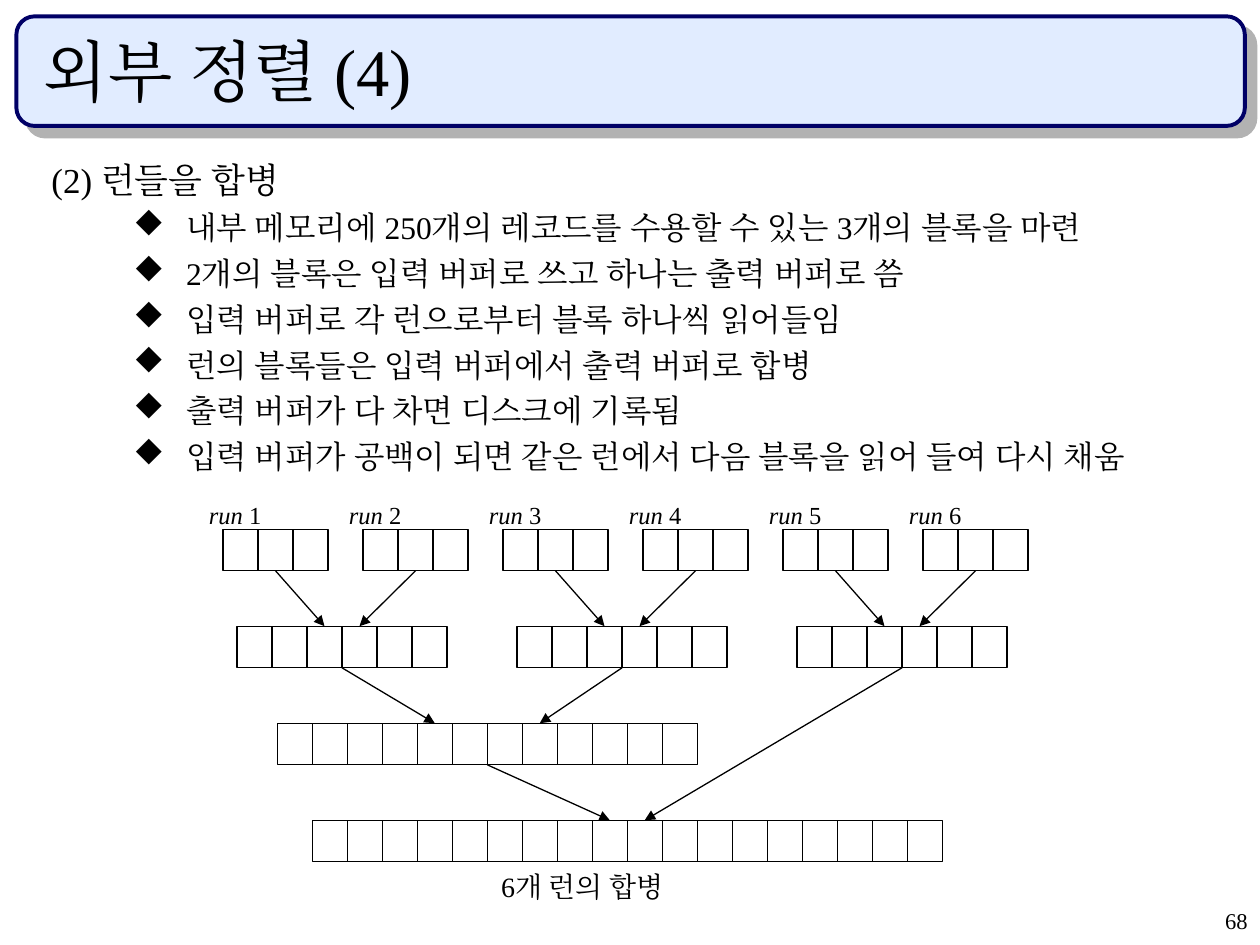
from lxml import etree
from pptx import Presentation
from pptx.dml.color import RGBColor
from pptx.enum.shapes import MSO_CONNECTOR, MSO_SHAPE
from pptx.enum.text import MSO_ANCHOR, PP_ALIGN
from pptx.oxml.ns import qn
from pptx.util import Inches, Pt

LEFT, RIGHT = PP_ALIGN.LEFT, PP_ALIGN.RIGHT
TOP, BOTTOM = MSO_ANCHOR.TOP, MSO_ANCHOR.BOTTOM
STRAIGHT = MSO_CONNECTOR.STRAIGHT
BLACK = RGBColor(0x00, 0x00, 0x00)
NAVY = RGBColor(0x00, 0x00, 0x66)
PALE_BLUE = RGBColor(0xE1, 0xEC, 0xFF)
SHADOW_GREY = RGBColor(0xB2, 0xB2, 0xB2)
FONT = "Times New Roman"
BULLET_FONT, DIAMOND = "Wingdings", "u"  # "u" is the diamond in this symbol font

# Content
TITLE = "외부 정렬 (4)"
HEADING = "(2) 런들을 합병"
STEPS = [
    "내부 메모리에 250개의 레코드를 수용할 수 있는 3개의 블록을 마련",
    "2개의 블록은 입력 버퍼로 쓰고 하나는 출력 버퍼로 씀",
    "입력 버퍼로 각 런으로부터 블록 하나씩 읽어들임",
    "런의 블록들은 입력 버퍼에서 출력 버퍼로 합병",
    "출력 버퍼가 다 차면 디스크에 기록됨",
    "입력 버퍼가 공백이 되면 같은 런에서 다음 블록을 읽어 들여 다시 채움",
]
CAPTION = "6개 런의 합병"
PAGE_NUMBER = "68"

# Merge levels: (first column, columns between run starts, runs, blocks per run)
LEVELS = [(0, 4, 6, 3), (0.4, 8, 3, 6), (1.55, 0, 1, 12), (2.55, 0, 1, 18)]
# Merges: (level, run) -> (level, run, block receiving the arrow)
MERGES = [((0, run), (1, run // 2, 2 + run % 2)) for run in range(6)] + [
    ((1, 0), (2, 0, 4)),
    ((1, 1), (2, 0, 7)),
    ((2, 0), (3, 0, 8)),
    ((1, 2), (3, 0, 9)),
]

# Diagram grid, in inches
GRID_LEFT, GRID_TOP = 1.77, 4.2
COLUMN, ROW = 5 / 18, 0.77
BLOCK_HEIGHT = 0.33

prs = Presentation()
prs.slide_width, prs.slide_height = Inches(10), Inches(7.5)
slide = prs.slides.add_slide(prs.slide_layouts[6])
shapes = slide.shapes


def add_text(x, y, w, h, text, size, align=LEFT, anchor=TOP):
    frame = shapes.add_textbox(Inches(x), Inches(y), Inches(w), Inches(h)).text_frame
    frame.word_wrap = True
    frame.vertical_anchor = anchor
    paragraph = frame.paragraphs[0]
    paragraph.text = text
    paragraph.alignment = align
    style(paragraph, size)
    return frame


def style(paragraph, size):
    font = paragraph.font
    font.name = FONT
    font.size = Pt(size)
    font.color.rgb = BLACK
    etree.SubElement(font._rPr, qn("a:ea"), typeface=FONT)


def indent(paragraph, margin, first_line):
    properties = paragraph._p.get_or_add_pPr()
    properties.set("marL", str(Inches(margin)))
    properties.set("indent", str(Inches(first_line)))
    return properties


def add_block(x, y):
    block = shapes.add_shape(MSO_SHAPE.RECTANGLE, Inches(x), Inches(y),
                             Inches(COLUMN), Inches(BLOCK_HEIGHT))
    block.shadow.inherit = False
    block.fill.background()
    block.line.color.rgb = BLACK
    block.line.width = Pt(0.75)
    return block


def add_arrow(start_x, start_y, target):
    arrow = shapes.add_connector(STRAIGHT, start_x, start_y, target.left, target.top)
    arrow.end_connect(target, 0)
    arrow.line.color.rgb = BLACK
    arrow.line.width = Pt(0.75)
    etree.SubElement(arrow.line._get_or_add_ln(), qn("a:tailEnd"), type="triangle")
    etree.SubElement(arrow._element.spPr, qn("a:effectLst"))
    return arrow


# Title banner with its offset shadow
banner = shapes.add_shape(MSO_SHAPE.ROUNDED_RECTANGLE, Inches(0.13), Inches(0.13),
                          Inches(9.75), Inches(0.87))
banner.shadow.inherit = False
banner.fill.solid()
banner.fill.fore_color.rgb = PALE_BLUE
banner.line.color.rgb = NAVY
banner.line.width = Pt(2.25)
shadow = etree.SubElement(banner._element.spPr.find(qn("a:effectLst")), qn("a:outerShdw"),
                          dist=str(Pt(8.5)), dir=str(45 * 60000), algn="ctr", rotWithShape="0")
etree.SubElement(shadow, qn("a:srgbClr"), val=str(SHADOW_GREY))
add_text(0.25, 0.25, 9.42, 0.67, TITLE, 38, anchor=BOTTOM)

# Heading and steps
body = add_text(-0.04, 1.21, 10.04, 2.7, HEADING, 20)
indent(body.paragraphs[0], 0.35, 0)
for step in STEPS:
    paragraph = body.add_paragraph()
    paragraph.text = step
    paragraph.space_before = Pt(4.5)
    properties = indent(paragraph, 1.42, -0.42)
    etree.SubElement(properties, qn("a:buFont"), typeface=BULLET_FONT,
                     pitchFamily="2", charset="2")
    etree.SubElement(properties, qn("a:buChar"), char=DIAMOND)
    style(paragraph, 18)

# Blocks of every run, level by level
runs = {}
for level, (first, pitch, run_count, block_count) in enumerate(LEVELS):
    for run in range(run_count):
        left = GRID_LEFT + (first + run * pitch) * COLUMN
        runs[level, run] = [add_block(left + i * COLUMN, GRID_TOP + level * ROW)
                            for i in range(block_count)]

# Run labels
for run in range(LEVELS[0][2]):
    x = GRID_LEFT - 0.21 + run * LEVELS[0][1] * COLUMN
    label = add_text(x, GRID_TOP - 0.28, 1.36, 0.34, "", 14).paragraphs[0]
    label.add_run().text = "run"
    label.runs[0].font.italic = True
    label.add_run().text = f" {run + 1}"

# Merge arrows
for source, (level, run, position) in MERGES:
    blocks = runs[source]
    middle = blocks[len(blocks) // 2]
    target = runs[level, run][position]
    arrow = add_arrow(middle.left, middle.top + middle.height, target)
    if len(blocks) % 2:
        arrow.begin_connect(middle, 2)

# Caption and page number
add_text(3.88, 6.85, 2.2, 0.37, CAPTION, 16)
page = add_text(7.92, 7.17, 2.08, 0.33, PAGE_NUMBER, 12.9, RIGHT)
page.paragraphs[0].line_spacing = 0.9

prs.save("out.pptx")
